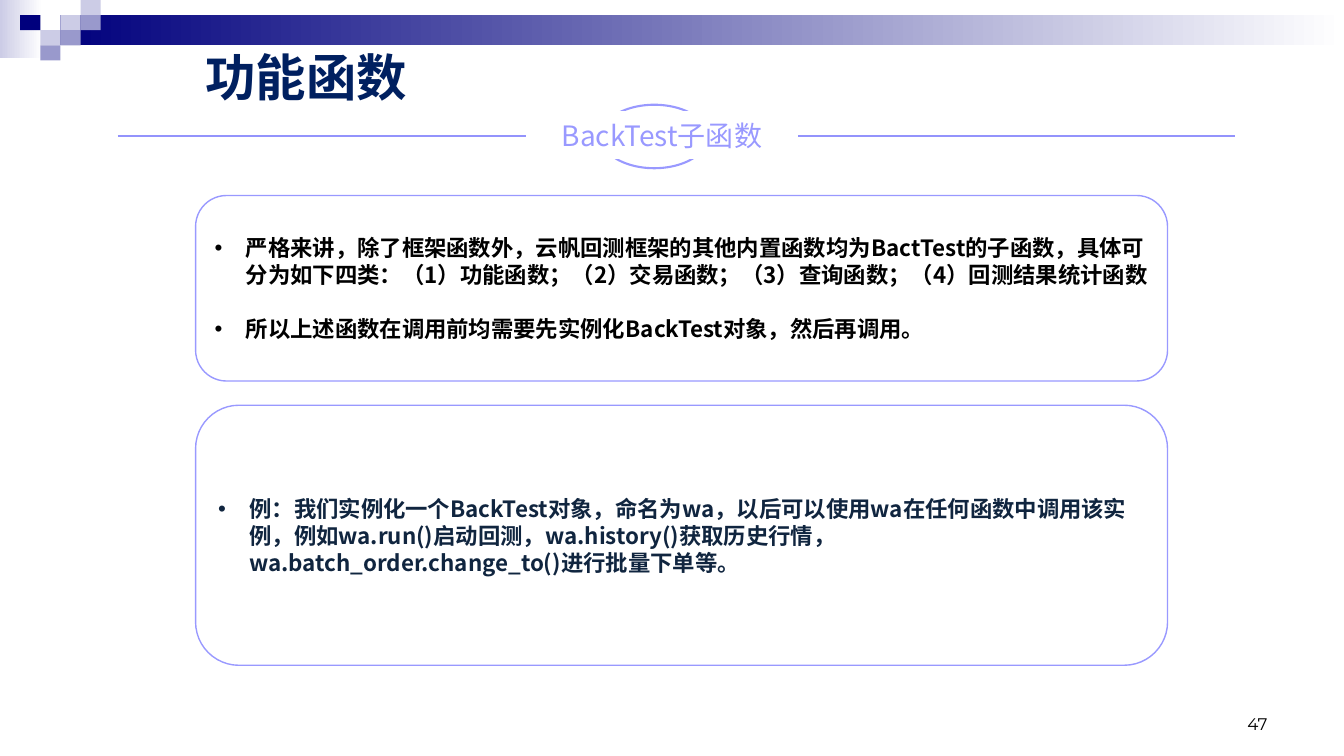
from lxml import etree
from pptx import Presentation
from pptx.dml.color import RGBColor
from pptx.enum.shapes import MSO_CONNECTOR, MSO_SHAPE as SHAPE
from pptx.enum.text import MSO_ANCHOR as ANCHOR, PP_ALIGN as ALIGN
from pptx.oxml.ns import qn
from pptx.util import Inches, Pt

COL, ROW = Inches(0.2), Inches(0.15)  # one cell of the corner mosaic
CJK = "Noto Sans CJK SC"
LAVENDER = "9999FF"

prs = Presentation()
prs.slide_width, prs.slide_height = Inches(13.33), Inches(7.5)
s = prs.slides.add_slide(prs.slide_layouts[6])


def add_box(kind, cell, fills=(), line=None, width=1):
    """Add a shape at (column, row, columns, rows); two fills make a gradient."""
    x, y, w, h = cell
    sp = s.shapes.add_shape(kind, round(x * COL), round(y * ROW), round(w * COL), round(h * ROW))
    sp.shadow.inherit = False
    if len(fills) == 2:
        sp.fill.gradient()
        sp.fill.gradient_angle = 0
        for stop, color, pos in zip(sp.fill.gradient_stops, fills, (0, 1)):
            stop.color.rgb = RGBColor.from_string(color)
            stop.position = pos
    elif fills:
        sp.fill.solid()
        sp.fill.fore_color.rgb = RGBColor.from_string(fills[0])
    else:
        sp.fill.background()
    if line:
        sp.line.color.rgb = RGBColor.from_string(line)
        sp.line.width = Pt(width)
    else:
        sp.line.fill.background()
    return sp


def add_text(sp, texts, size, color, font=CJK, bold=False, align=ALIGN.LEFT,
             anchor=ANCHOR.MIDDLE, wrap=True, bullets=False):
    tf = sp.text_frame
    tf.word_wrap = wrap
    tf.vertical_anchor = anchor
    for i, text in enumerate(texts):
        p = tf.add_paragraph() if i else tf.paragraphs[0]
        p.alignment = align
        r = p.add_run()
        r.text = text
        r.font.size, r.font.bold, r.font.name = Pt(size), bold, font
        r.font.color.rgb = RGBColor.from_string(color)
        etree.SubElement(r.font._element, qn("a:ea"), typeface=font)
        if bullets:
            p.line_spacing = Pt(1.2 * size)
            p.space_before = Pt(1.2 * size if i else 0)
            pPr = p._p.get_or_add_pPr()
            pPr.set("marL", str(Inches(0.31)))
            pPr.set("indent", str(-Inches(0.31)))
            etree.SubElement(pPr, qn("a:buFont"), typeface="Arial")
            etree.SubElement(pPr, qn("a:buChar"), char="•")


# Header band and corner mosaic
add_box(SHAPE.RECTANGLE, (0, 0, 2.1, 3.87), ("CCCCE6", "FFFFFF"))
add_box(SHAPE.RECTANGLE, (3, 1, 63.65, 2), ("00007D", "FFFFFF"))
mosaic = [(3, 1, "CCCCE6"), (4, 0, "CCCCE6"), (4, 1, "9999CC"), (2, 2, "CCCCE6"),
          (1, 1, "00007D"), (3, 2, "9999CC"), (2, 3, "9999CC")]
for col, row, color in mosaic:
    add_box(SHAPE.RECTANGLE, (col, row, 1, 1), (color,))

# Section label on its rule
rule = s.shapes.add_connector(MSO_CONNECTOR.STRAIGHT, round(5.85 * COL), 9 * ROW,
                              round(61.25 * COL), 9 * ROW)
rule.line.color.rgb = RGBColor.from_string("9393FC")
rule.line.width = Pt(1.5)
etree.SubElement(rule._element.spPr, qn("a:effectLst"))
add_box(SHAPE.OVAL, (29.8, 6.93, 5.3, 4.2), ("FFFFFF",), LAVENDER, 1.5)
label = add_box(SHAPE.RECTANGLE, (26.15, 7.47, 13.35, 2.93), ("FFFFFF",), "FFFFFF", 2)
add_text(label, ["BackTest子函数"], 20, LAVENDER, align=ALIGN.CENTER, wrap=False)

# Text cards
cards = [
    (12.93, 12.27, "000000", [
        "严格来讲，除了框架函数外，云帆回测框架的其他内置函数均为BactTest的子函数，具体可分为如下四类："
        "（1）功能函数；（2）交易函数；（3）查询函数；（4）回测结果统计函数",
        "所以上述函数在调用前均需要先实例化BackTest对象，然后再调用。"]),
    (26.8, 17.2, "10253F", [
        "例：我们实例化一个BackTest对象，命名为wa，以后可以使用wa在任何函数中调用该实例，"
        "例如wa.run()启动回测，wa.history()获取历史行情，wa.batch_order.change_to()进行批量下单等。"]),
]
for row, rows, color, texts in cards:
    card = add_box(SHAPE.ROUNDED_RECTANGLE, (9.7, row, 48.2, rows), line=LAVENDER)
    add_text(card, texts, 16, color, bold=True, bullets=True)

# Title and page number
title = s.shapes.add_textbox(round(9.7 * COL), round(2.67 * ROW), round(11.15 * COL), round(4.73 * ROW))
add_text(title, ["功能函数"], 36, "002060", bold=True)
number = s.shapes.add_textbox(round(47.8 * COL), round(45.53 * ROW), round(15.55 * COL), round(3.33 * ROW))
add_text(number, ["47"], 12, "000000", "Montserrat", align=ALIGN.RIGHT, anchor=ANCHOR.BOTTOM)

prs.save("out.pptx")
